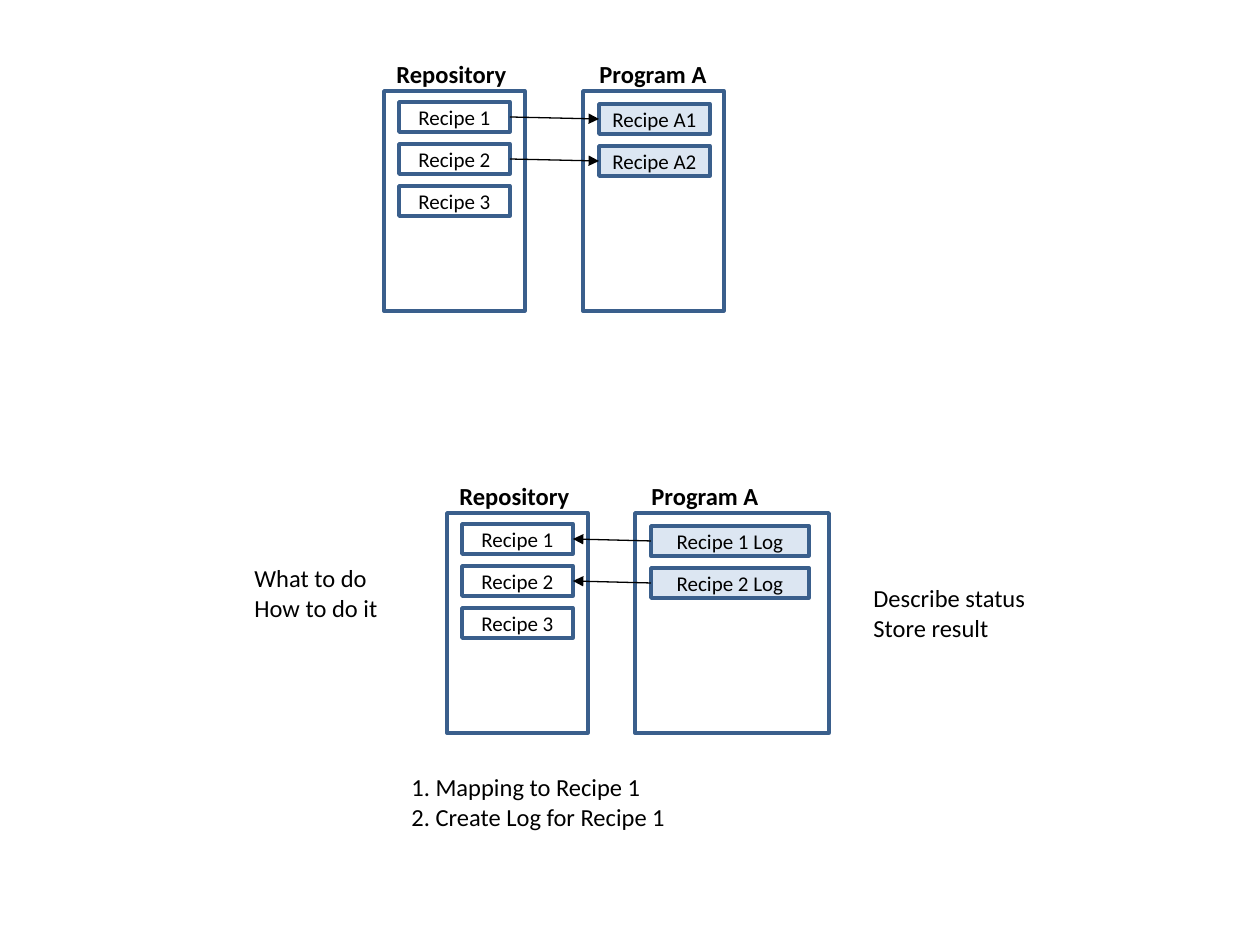
from dataclasses import dataclass

from pptx import Presentation
from pptx.dml.color import RGBColor
from pptx.enum.shapes import MSO_CONNECTOR, MSO_SHAPE
from pptx.enum.text import MSO_ANCHOR, MSO_AUTO_SIZE, PP_ALIGN
from pptx.oxml.ns import qn
from pptx.util import Inches, Pt
from lxml.etree import SubElement

SCALE = Inches(1) / 126
LEFT_SITE, RIGHT_SITE = 1, 3


@dataclass(frozen=True)
class Theme:
    """Colours, font and sizes of the slide."""
    font: str = "Calibri"
    text: RGBColor = RGBColor(0, 0, 0)
    outline: RGBColor = RGBColor(0x3A, 0x5F, 0x8C)
    plain: RGBColor = RGBColor(0xFF, 0xFF, 0xFF)
    tinted: RGBColor = RGBColor(0xDC, 0xE6, 0xF2)
    label_size: Pt = Pt(12)
    text_size: Pt = Pt(14)
    outline_width: Pt = Pt(2)
    arrow_width: Pt = Pt(0.75)


THEME = Theme()


@dataclass(frozen=True)
class Column:
    """A headed frame and the inset and width of the recipes inside it."""
    heading: str
    heading_shift: int
    heading_width: int
    inset_x: int
    inset_y: int
    fill: RGBColor


REPOSITORY = Column("Repository", 0, 136, 15, 11, THEME.plain)
PROGRAM = Column("Program A", 4, 134, 16, 13, THEME.tinted)
FRAME_HEIGHT, RECIPE_HEIGHT, RECIPE_PITCH = 220, 30, 42
HEADING_RISE, HEADING_HEIGHT = 38, 43
REPOSITORY_WIDTH, SHORT_RECIPE = 141, 111


def px(*lengths):
    """Turn pixel lengths into EMU."""
    return [round(length * SCALE) for length in lengths]


def style(para, size, bold=False):
    """Set the font of a paragraph."""
    font = para.font
    font.name, font.size, font.bold = THEME.font, size, bold
    font.color.rgb = THEME.text


def add_box(page, left, top, width, height, fill, label=None):
    """Add an outlined rectangle, with a centred label if one is given."""
    box = page.shapes.add_shape(MSO_SHAPE.RECTANGLE, *px(left, top, width, height))
    box.shadow.inherit = False
    box.fill.solid()
    box.fill.fore_color.rgb = fill
    box.line.color.rgb = THEME.outline
    box.line.width = THEME.outline_width
    if label:
        box.text_frame.text = label
        box.text_frame.vertical_anchor = MSO_ANCHOR.MIDDLE
        para = box.text_frame.paragraphs[0]
        para.alignment = PP_ALIGN.CENTER
        style(para, THEME.label_size)
    return box


def add_text(page, left, top, width, height, lines, wrap=True, bold=False):
    """Add a text box with one paragraph for each line."""
    box = page.shapes.add_textbox(*px(left, top, width, height))
    frame = box.text_frame
    frame.text = "\n".join(lines)
    frame.word_wrap = wrap
    frame.auto_size = MSO_AUTO_SIZE.SHAPE_TO_FIT_TEXT
    for para in frame.paragraphs:
        style(para, THEME.text_size, bold)


def add_arrow(page, source, source_site, target, target_site):
    """Connect two boxes with a thin arrow."""
    arrow = page.shapes.add_connector(MSO_CONNECTOR.STRAIGHT, 0, 0, 0, 0)
    arrow.begin_connect(source, source_site)
    arrow.end_connect(target, target_site)
    arrow.line.color.rgb = THEME.text
    arrow.line.width = THEME.arrow_width
    SubElement(arrow.line._get_or_add_ln(), qn("a:tailEnd"), type="triangle")
    SubElement(arrow._element.spPr, qn("a:effectLst"))


def add_column(page, column, left, top, width, recipe_width, recipes):
    """Add a frame with its heading and recipes, and return the recipe boxes."""
    add_box(page, left, top, width, FRAME_HEIGHT, THEME.plain)
    add_text(page, left + column.heading_shift, top - HEADING_RISE,
             column.heading_width, HEADING_HEIGHT, [column.heading],
             wrap=False, bold=True)
    return [add_box(page, left + column.inset_x,
                    top + column.inset_y + row * RECIPE_PITCH,
                    recipe_width, RECIPE_HEIGHT, column.fill, recipe)
            for row, recipe in enumerate(recipes)]


def add_diagram(page, top, repository_left, program_left, program_width,
                recipe_width, program_recipes, to_program):
    """Add a repository and a program, with arrows between their recipes."""
    stored = add_column(page, REPOSITORY, repository_left, top, REPOSITORY_WIDTH,
                        SHORT_RECIPE, [f"Recipe {n}" for n in (1, 2, 3)])
    used = add_column(page, PROGRAM, program_left, top, program_width,
                      recipe_width, program_recipes)
    for recipe, entry in zip(stored, used):
        if to_program:
            add_arrow(page, recipe, RIGHT_SITE, entry, LEFT_SITE)
        else:
            add_arrow(page, entry, LEFT_SITE, recipe, RIGHT_SITE)


def main():
    """Build and save the slide."""
    deck = Presentation()
    deck.slide_width, deck.slide_height = Inches(10), Inches(7.5)
    page = deck.slides.add_slide(deck.slide_layouts[6])
    add_diagram(page, 91, 384, 583, REPOSITORY_WIDTH, SHORT_RECIPE,
                ["Recipe A1", "Recipe A2"], to_program=True)
    add_diagram(page, 513, 447, 635, 194, 158,
                ["Recipe 1 Log", "Recipe 2 Log"], to_program=False)
    add_text(page, 242, 557, 168, 72, ["What to do How to do it"])
    add_text(page, 861, 577, 336, 72, ["Describe status", "Store result"])
    add_text(page, 399, 766, 336, 72,
             ["1. Mapping to Recipe 1", "2. Create Log for Recipe 1"])
    deck.save("out.pptx")


main()
